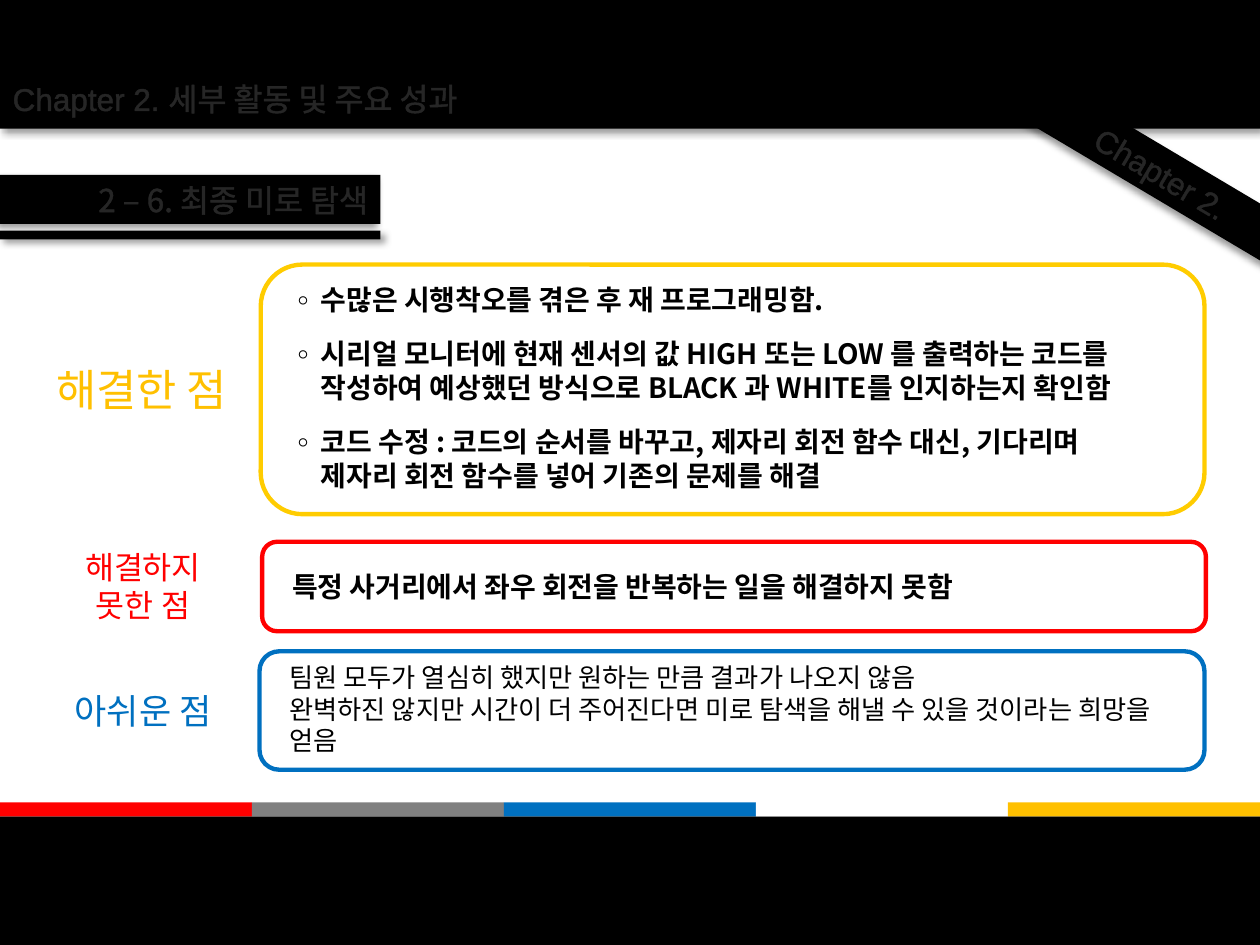
from lxml import etree
from pptx import Presentation
from pptx.dml.color import RGBColor
from pptx.enum.shapes import MSO_SHAPE
from pptx.enum.text import MSO_ANCHOR, PP_ALIGN
from pptx.oxml.ns import qn
from pptx.util import Pt

RECT, ROUND = MSO_SHAPE.RECTANGLE, MSO_SHAPE.ROUNDED_RECTANGLE
TOP, MIDDLE = MSO_ANCHOR.TOP, MSO_ANCHOR.MIDDLE
LEFT, CENTER, RIGHT = PP_ALIGN.LEFT, PP_ALIGN.CENTER, PP_ALIGN.RIGHT

COLORS = {
    "black": "000000", "white": "FFFFFF", "red": "FF0000", "gray": "808080",
    "blue": "0070C0", "amber": "FFC000", "yellow": "FFCC00",
}
LATIN, KOREAN = "Arial", "Noto Sans CJK KR"
WIDTH, HEIGHT = 720, 540
BAND_H = 73.5
STRIP_TOP, STRIP_H = 458.6, 8
LINE_SPACING = 1.2

# A paragraph is a tuple of runs; "\n" is a line break.
TITLE = [("Chapter 2. ", "세부 활동 및 주요 성과")]
RIBBON = [("Chapter 2.",)]
SECTION = [("2 – 6. 최종 미로 탐색",)]
STRIPS = ["red", "gray", "blue", "white", "amber"]

# Each row: frame, label and body, every box as left, top, width, height
ROWS = [
    {
        "frame": (149, 151.2, 539.3, 142.6), "line": "yellow",
        "label": [("해결한 점",)], "label_box": (18.7, 203.8, 124.6, 37.4),
        "label_format": {"size": 25, "color": "amber"},
        "body": [
            ("수많은 시행착오를 겪은 후 재 프로그래밍함.",),
            ("시리얼 모니터에 현재 센서의 값 HIGH 또는 LOW 를 출력하는 코드를", "\n",
             "작성하여 예상했던 방식으로 BLACK 과 WHITE를 인지하는지 확인함"),
            ("코드 수정 : 코드의 순서를 바꾸고, 제자리 회전 함수 대신, 기다리며", "\n",
             "제자리 회전 함수를 넣어 기존의 문제를 해결"),
        ],
        "body_box": (156.2, 157.7, 541.4, 128.2),
        "body_format": {"size": 16, "bold": True, "bullet": "◦", "gap": 12},
    },
    {
        "frame": (149.8, 309.6, 539.3, 51.1), "line": "red",
        "label": [("해결하지",), ("못한 점",)], "label_box": (22.3, 309.6, 118.8, 51.1),
        "label_format": {"size": 18, "color": "red"},
        "body": [("특정 사거리에서 좌우 회전을 반복하는 일을 해결하지 못함",)],
        "body_box": (159.8, 321.8, 539.3, 26.6),
        "body_format": {"size": 16, "bold": True},
    },
    {
        "frame": (148.3, 372.2, 540, 67.7), "line": "blue",
        "label": [("아쉬운 점",)], "label_box": (22.3, 390.2, 118.8, 31.7),
        "label_format": {"size": 20, "color": "blue"},
        "body": [
            ("팀원 모두가 열심히 했지만 원하는 만큼 결과가 나오지 않음",),
            ("완벽하진 않지만 시간이 더 주어진다면 미로 탐색을 해낼 수 있을 것이라는 희망을 얻음",),
        ],
        "body_box": (158.4, 374.4, 526, 61.9),
        "body_format": {"size": 15},
    },
]


def rgb(name):
    return RGBColor.from_string(COLORS[name])


def child(parent, tag, **attrs):
    return etree.SubElement(parent, qn(tag), {k: str(v) for k, v in attrs.items()})


def add_shadow(shape, angle):
    effects = shape.element.spPr.find(qn("a:effectLst"))
    shadow = child(effects, "a:outerShdw", blurRad=Pt(4), dist=Pt(3),
                   dir=angle * 60000, algn="ctr", rotWithShape=0)
    color = child(shadow, "a:srgbClr", val=COLORS["black"])
    child(color, "a:alpha", val=40000)


def add_block(s, kind, box, fill=None, line=None, shadow=None):
    """Add a preset shape; shadow is the direction of its shadow in degrees."""
    sp = s.shapes.add_shape(kind, *map(Pt, box))
    sp.shadow.inherit = False
    if fill:
        sp.fill.solid()
        sp.fill.fore_color.rgb = rgb(fill)
    else:
        sp.fill.background()
    if line:
        sp.line.color.rgb = rgb(line)
        sp.line.width = Pt(2.5)
    else:
        sp.line.fill.background()
    if shadow is not None:
        add_shadow(sp, shadow)
    return sp


def add_outline(r):
    """Give a run a faint white outline."""
    ln = etree.Element(qn("a:ln"), w=str(Pt(0.75)))
    r._r.rPr.insert(0, ln)
    color = child(child(ln, "a:solidFill"), "a:srgbClr", val=COLORS["white"])
    child(color, "a:alpha", val=15000)


def add_bullet(p, char):
    p_pr = p._p.get_or_add_pPr()
    p_pr.set("marL", str(Pt(20)))
    p_pr.set("indent", str(-Pt(18)))
    child(p_pr, "a:buFont", typeface=KOREAN)
    child(p_pr, "a:buChar", char=char)


def write(shape, paragraphs, size=18, color="black", bold=False, align=LEFT,
          anchor=TOP, outline=False, bullet=None, gap=0):
    tf = shape.text_frame
    tf.word_wrap = True
    tf.vertical_anchor = anchor
    for i, pieces in enumerate(paragraphs):
        p = tf.add_paragraph() if i else tf.paragraphs[0]
        formats = {"alignment": align, "line_spacing": Pt(size * LINE_SPACING),
                   "space_before": Pt(gap if i else 0)}
        for name, value in formats.items():
            setattr(p, name, value)
        if bullet:
            add_bullet(p, bullet)
        for piece in pieces:
            if piece == "\n":
                p.add_line_break()
                continue
            r = p.add_run()
            r.text = piece
            font = LATIN if piece.isascii() else KOREAN
            for name, value in {"size": Pt(size), "bold": bold, "name": font}.items():
                setattr(r.font, name, value)
            r.font.color.rgb = rgb(color)
            latin = r._r.rPr.find(qn("a:latin"))
            latin.addnext(etree.Element(qn("a:ea"), typeface=font))
            if outline:
                add_outline(r)


def add_text(s, box, paragraphs, **formats):
    write(s.shapes.add_textbox(*map(Pt, box)), paragraphs, **formats)


def main():
    prs = Presentation()
    prs.slide_width, prs.slide_height = Pt(WIDTH), Pt(HEIGHT)
    s = prs.slides.add_slide(prs.slide_layouts[5])
    heading = {"color": "white", "outline": True}

    add_block(s, RECT, (0, 0, WIDTH, BAND_H), "black", shadow=45)
    add_block(s, RECT, (0, HEIGHT - BAND_H, WIDTH, BAND_H), "black")
    strip_w = WIDTH / len(STRIPS)
    for i, color in enumerate(STRIPS):
        add_block(s, RECT, (i * strip_w, STRIP_TOP, strip_w, STRIP_H), color)

    ribbon = add_block(s, RECT, (511.2, 85, 304.6, 28), "black", shadow=135)
    ribbon.rotation = 30.7
    write(ribbon, RIBBON, align=CENTER, anchor=MIDDLE, **heading)
    section = add_block(s, RECT, (0, 100, 217.4, 28), "black", shadow=135)
    write(section, SECTION, align=RIGHT, anchor=MIDDLE, **heading)
    add_block(s, RECT, (0, 131.8, 217.4, 5), "black", shadow=45)

    title = s.shapes.title
    title.left, title.top, title.width, title.height = map(Pt, (0, 41.8, 489.6, 28.8))
    write(title, TITLE, **heading)
    s.shapes.element.append(title.element)  # in front of the top band

    for row in ROWS:
        add_block(s, ROUND, row["frame"], line=row["line"])
        add_text(s, row["label_box"], row["label"], align=CENTER, **row["label_format"])
        add_text(s, row["body_box"], row["body"], **row["body_format"])

    prs.save("out.pptx")


if __name__ == "__main__":
    main()
